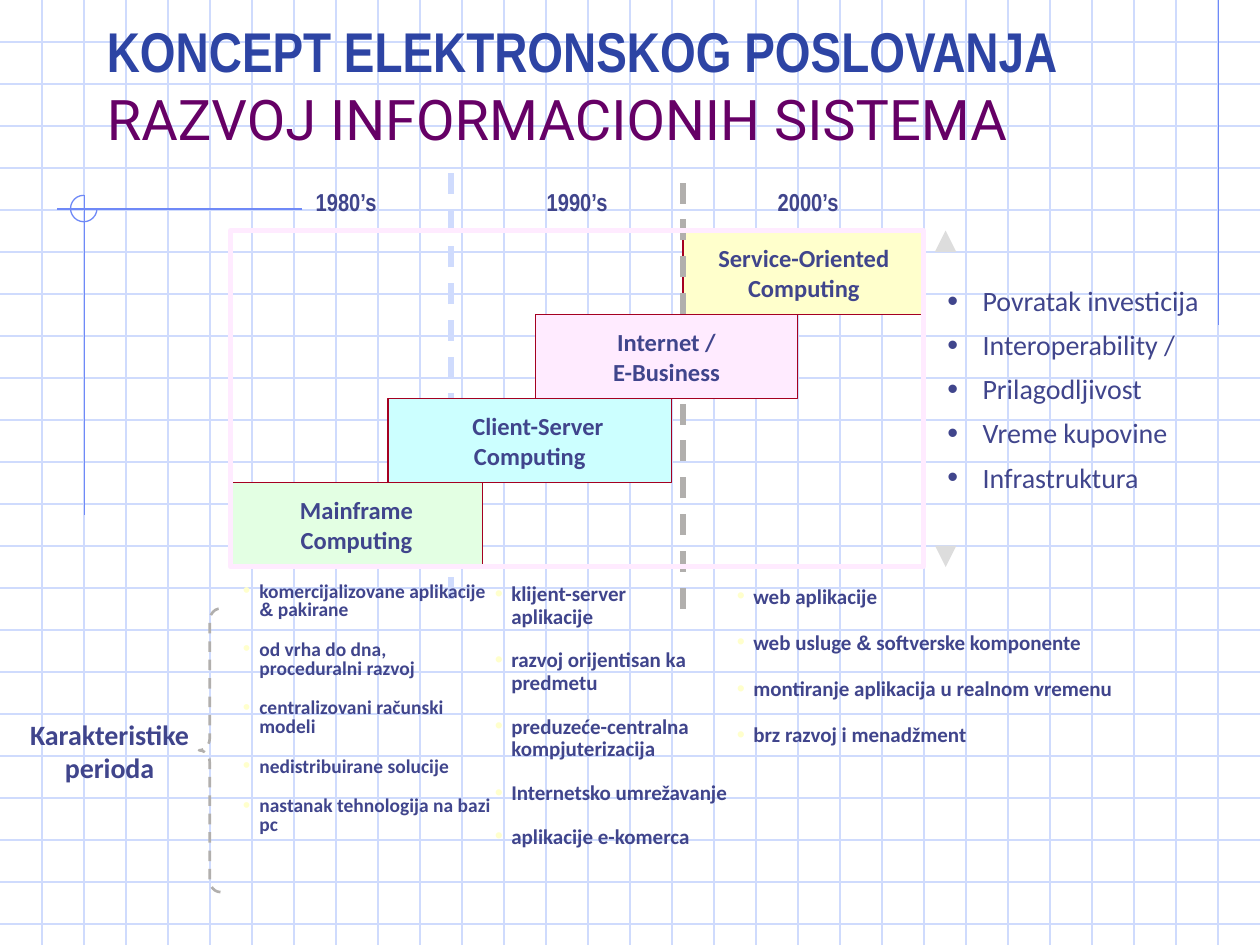
from lxml import etree
from pptx import Presentation
from pptx.dml.color import RGBColor
from pptx.enum.dml import MSO_LINE
from pptx.enum.shapes import MSO_CONNECTOR, MSO_SHAPE
from pptx.enum.text import MSO_ANCHOR, PP_ALIGN
from pptx.oxml.ns import qn
from pptx.util import Inches, Pt

DASH = MSO_LINE.DASH
STRAIGHT = MSO_CONNECTOR.STRAIGHT
TOP, MIDDLE, BOTTOM = MSO_ANCHOR.TOP, MSO_ANCHOR.MIDDLE, MSO_ANCHOR.BOTTOM
LEFT, CENTER = PP_ALIGN.LEFT, PP_ALIGN.CENTER

THEME = dict(
    body="Calibri", narrow="Arial Narrow", display="Roboto", symbol="Arial",
    text="40458C", title="2D44A4", subtitle="660066", grid="CFDBFD",
    accent="6F89F7", box_line="A50021", frame="FFEBFF", gray="B1AFAD",
    arrow="DDDDDD", pale_bullet="FFFFCC",
    title_size=32, large=16, label=14, small=12, smallest=11.1,
)
WIDTH, HEIGHT, GRID_STEP = 10, 7.5, 1 / 3

TITLE = "KONCEPT ELEKTRONSKOG POSLOVANJA"
SUBTITLE = "RAZVOJ INFORMACIONIH SISTEMA"
DECADES = ["1980’s", "1990’s", "2000’s"]
# paragraphs, left, width, step from the top, fill
SERVICE = (["Service-Oriented Computing"], 5.42, 1.92, 0, "FFFFCC")
INTERNET = (["Internet /\vE-Business"], 4.25, 2.08, 1, "FFEBFF")
CLIENT = (["Client-Server", "Computing"], 3.08, 2.25, 2, "CCFFFF")
MAINFRAME = (["Mainframe\vComputing"], 1.83, 2, 3, "E3FFE3")
GOALS = ["Povratak investicija", "Interoperability /", "Prilagodljivost",
         "Vreme kupovine", "Infrastruktura"]
# left, width, right inset, line spacing, size, items
PERIOD_TRAITS = [
    (1.83, 2.08, 0, 0.8, THEME["smallest"],
     ["komercijalizovane aplikacije & pakirane",
      "od vrha do dna, proceduralni razvoj",
      "centralizovani računski modeli",
      "nedistribuirane solucije",
      "nastanak tehnologija na bazi pc"]),
    (3.83, 2, 0, 0.9, THEME["small"],
     ["klijent-server\vaplikacije",
      "razvoj orijentisan ka predmetu",
      "preduzeće-centralna kompjuterizacija",
      "Internetsko umrežavanje",
      "aplikacije e-komerca"]),
    (5.75, 3.58, 0.1, None, THEME["small"],
     ["web aplikacije",
      "web usluge & softverske komponente",
      "montiranje aplikacija u realnom vremenu",
      "brz razvoj i menadžment"]),
]
TRAITS_LABEL = "Karakteristike perioda"

CHART_LEFT, CHART_TOP, CHART_WIDTH, STEP_HEIGHT = 1.83, 1.83, 5.5, 2 / 3

presentation = Presentation()
presentation.slide_width, presentation.slide_height = Inches(WIDTH), Inches(HEIGHT)
slide = presentation.slides.add_slide(presentation.slide_layouts[6])


def color(name):
    return RGBColor.from_string(THEME.get(name, name))


def set_font(font, size, name="body", bold=False, tint="text"):
    font.size, font.name, font.bold = Pt(size), THEME[name], bold
    font.color.rgb = color(tint)


def add_line(start, end, tint, weight=0.75, dash=None):
    line = slide.shapes.add_connector(STRAIGHT, *map(Inches, start + end))
    line.line.color.rgb, line.line.width = color(tint), Pt(weight)
    if dash:
        line.line.dash_style = dash
    etree.SubElement(line._element.spPr, qn("a:effectLst"))


def add_shape(kind, box, fill=None, tint=None, weight=0.75):
    shape = slide.shapes.add_shape(kind, *map(Inches, box))
    shape.shadow.inherit = False
    if fill:
        shape.fill.solid()
        shape.fill.fore_color.rgb = color(fill)
    else:
        shape.fill.background()
    if tint:
        shape.line.color.rgb, shape.line.width = color(tint), Pt(weight)
    else:
        shape.line.fill.background()
    return shape


def prepare_frame(shape, anchor, insets):
    frame = shape.text_frame
    frame.word_wrap, frame.vertical_anchor = True, anchor
    (frame.margin_left, frame.margin_top,
     frame.margin_right, frame.margin_bottom) = map(Inches, insets)
    return frame


def add_text_frame(box, anchor=MIDDLE, insets=(0.1, 0, 0.1, 0)):
    return prepare_frame(slide.shapes.add_textbox(*map(Inches, box)), anchor, insets)


def add_bullet(paragraph, tint, indent):
    properties = paragraph._p.get_or_add_pPr()
    properties.set("marL", str(Inches(indent)))
    properties.set("indent", str(-Inches(indent)))
    bullet_color = etree.SubElement(properties, qn("a:buClr"))
    etree.SubElement(bullet_color, qn("a:srgbClr"), val=THEME[tint])
    etree.SubElement(properties, qn("a:buSzPct"), val="110000")
    etree.SubElement(properties, qn("a:buFont"), typeface=THEME["symbol"])
    etree.SubElement(properties, qn("a:buChar"), char="•")


def write(frame, texts, size, name="body", bold=True, align=CENTER,
          spacing=None, after=0, bullet=None):
    """Write one paragraph per text; bullet is a (colour, indent) pair."""
    for index, text in enumerate(texts):
        paragraph = frame.paragraphs[0] if index == 0 else frame.add_paragraph()
        before, ampersand, rest = text.partition("&")
        paragraph.text = before
        paragraph.alignment, paragraph.space_after = align, Pt(after)
        if spacing:
            paragraph.line_spacing = spacing
        if bullet:
            add_bullet(paragraph, *bullet)
        set_font(paragraph.font, size, name, bold)
        if ampersand:
            run = paragraph.add_run()
            run.text, run.font.name = ampersand, THEME["symbol"]
            paragraph.add_run().text = rest


def add_stage(paragraphs, left, width, step, fill):
    box = (left, CHART_TOP + step * STEP_HEIGHT, width, STEP_HEIGHT)
    frame = prepare_frame(add_shape(MSO_SHAPE.RECTANGLE, box, fill, "box_line"),
                          MIDDLE, (0.1, 0.05, 0.1, 0.05))
    write(frame, paragraphs, THEME["label"])
    return frame


# Background grid and corner ornament
for index in range(1, 23):
    add_line((0, index * GRID_STEP), (WIDTH, index * GRID_STEP), "grid")
for index in range(1, 30):
    add_line((index * GRID_STEP, 0), (index * GRID_STEP, HEIGHT), "grid")
for start, end in [((9.67, 0), (9.67, 2.58)), ((2.4, 1.66), (0.45, 1.66)),
                   ((0.67, 1.55), (0.67, 4.09))]:
    add_line(start, end, "accent")
arc = add_shape(MSO_SHAPE.ARC, (0.56, 1.55, 0.21, 0.21), tint="accent")
arc.adjustments[0], arc.adjustments[1] = 0, 162

# Timeline
add_line((3.58, 4.75), (3.58, 1.33), "grid", 3, DASH)
decade_width = CHART_WIDTH / len(DECADES)
for index, decade in enumerate(DECADES):
    frame = add_text_frame((CHART_LEFT + index * decade_width, 1.5, decade_width, 0.25))
    write(frame, [decade], THEME["label"], "narrow", spacing=0.8)
add_stage(*SERVICE)

# Goals between the two arrowheads
write(add_text_frame((7.42, 1.75, 2.25, 2.67)), GOALS, THEME["large"], bold=False,
      align=LEFT, after=6, bullet=("text", 0.28))
for top, rotation in [(1.83, 0), (4.33, 180)]:
    triangle = add_shape(MSO_SHAPE.ISOSCELES_TRIANGLE, (7.42, top, 0.17, 0.17), "arrow")
    triangle.rotation = rotation

# Traits of each period
write(add_text_frame((-0.17, 5.67, 2.08, 0.58)), [TRAITS_LABEL], THEME["large"])
brace = add_shape(MSO_SHAPE.LEFT_BRACE, (1.58, 4.83, 0.17, 2.25), tint="gray", weight=1.5)
brace.line.dash_style = DASH
brace.adjustments[0] = 0.56
for left, width, right_inset, spacing, size, items in PERIOD_TRAITS:
    frame = add_text_frame((left, 4.58, width, 2.33), TOP, (0.1, 0.05, right_inset, 0.05))
    write(frame, items, size, align=LEFT, spacing=spacing, after=12,
          bullet=("pale_bullet", 0.13))

# Remaining stages and the frame around them
add_line((5.42, 4.83), (5.42, 1.42), "gray", 3, DASH)
add_stage(*MAINFRAME)
add_shape(MSO_SHAPE.RECTANGLE, (CHART_LEFT, CHART_TOP, CHART_WIDTH, 4 * STEP_HEIGHT),
          tint="frame", weight=3)
add_stage(*INTERNET)
client_frame = add_stage(*CLIENT)
client_frame.paragraphs[0]._p.get_or_add_pPr().set("marL", str(Inches(0.13)))

# Title
paragraph = add_text_frame((0.75, 0, 8.5, 1.25), BOTTOM, (0.1, 0.05, 0.1, 0.05)).paragraphs[0]
run = paragraph.add_run()
run.text = TITLE
set_font(run.font, THEME["title_size"], "narrow", True, "title")
paragraph.add_line_break()
run = paragraph.add_run()
run.text = SUBTITLE
set_font(run.font, THEME["title_size"], "display", False, "subtitle")

presentation.save("out.pptx")
